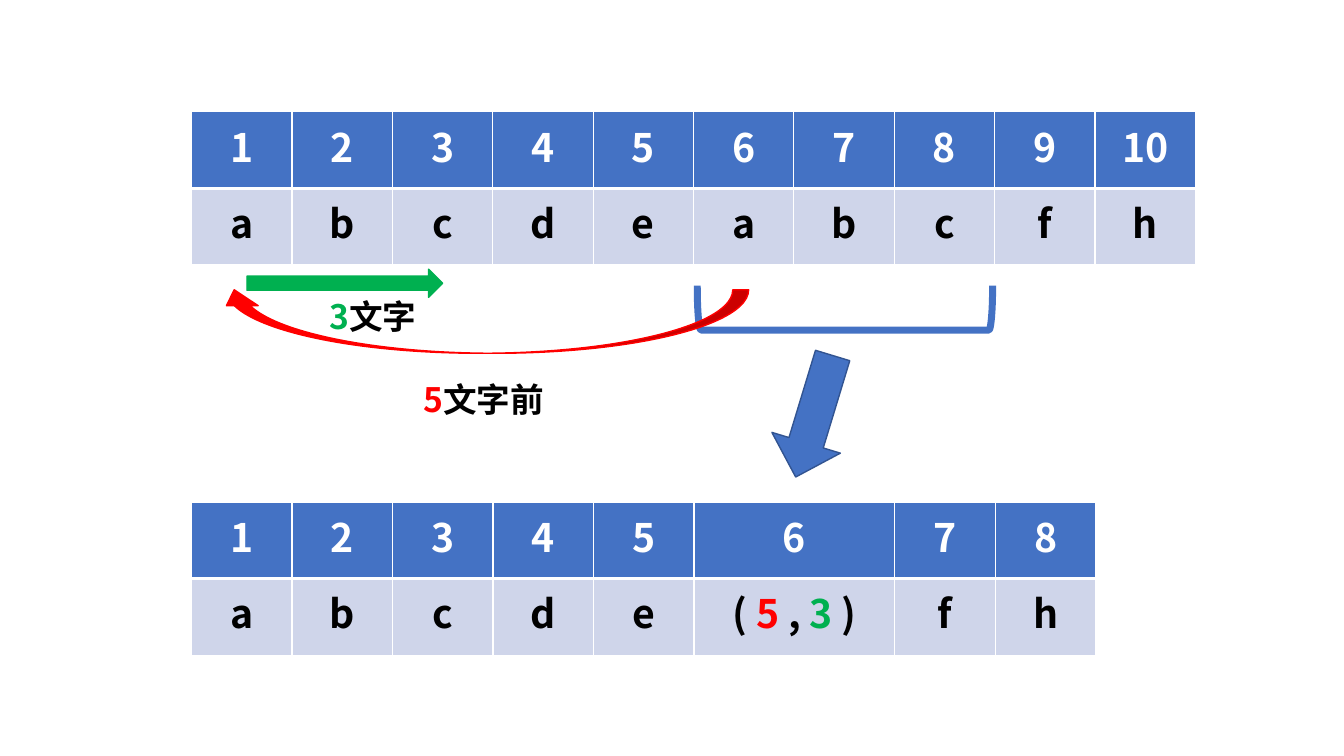
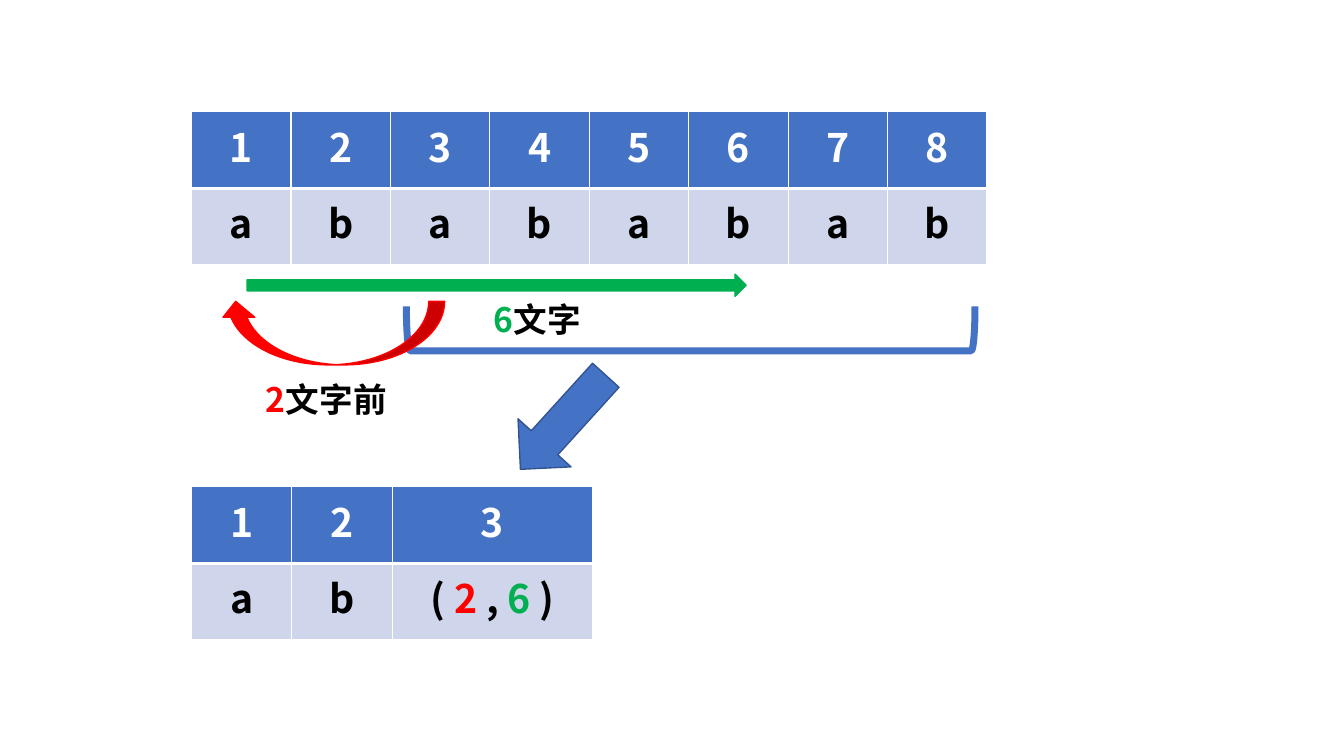
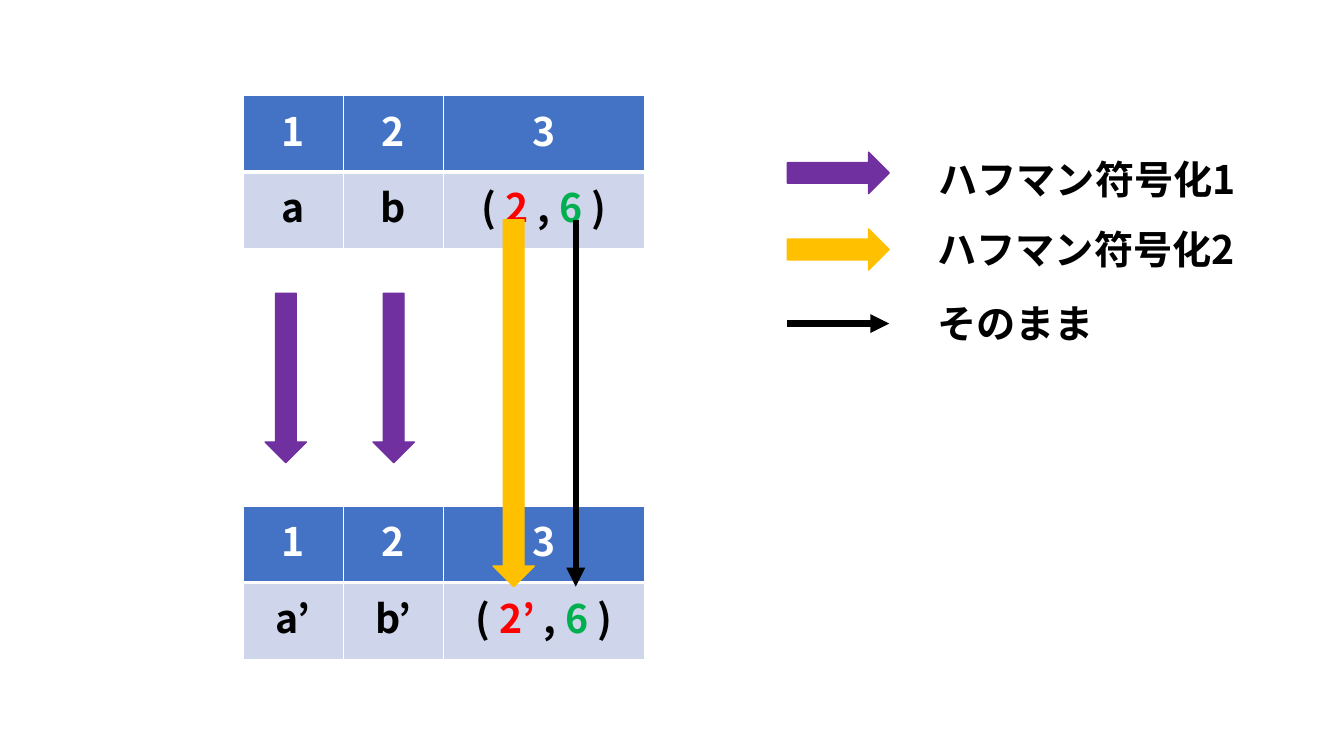
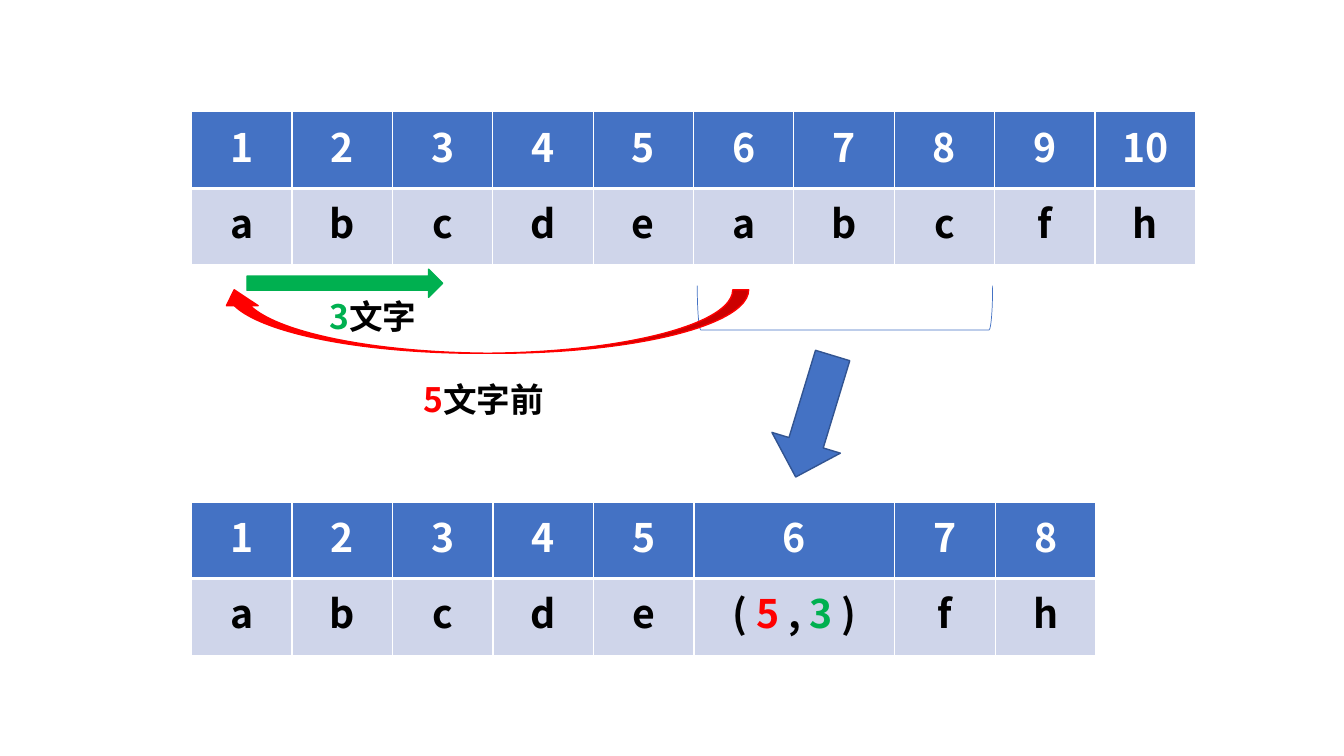
from lxml import etree
from pptx import Presentation
from pptx.dml.color import RGBColor
from pptx.enum.shapes import MSO_CONNECTOR, MSO_SHAPE
from pptx.enum.text import MSO_AUTO_SIZE, PP_ALIGN
from pptx.oxml.ns import qn
from pptx.util import Inches, Pt

DOWN = MSO_SHAPE.DOWN_ARROW
RIGHT = MSO_SHAPE.RIGHT_ARROW
CURVE = MSO_SHAPE.CURVED_LEFT_ARROW
BRACKET = MSO_SHAPE.RIGHT_BRACKET
LINE = MSO_CONNECTOR.STRAIGHT
CENTER = PP_ALIGN.CENTER
GROW = MSO_AUTO_SIZE.SHAPE_TO_FIT_TEXT

FONT = "Noto Sans CJK JP"
BLUE, EDGE, PALE = "4472C4", "325491", "CFD5EA"
RED, GREEN, PURPLE, GOLD = "FF0000", "00B050", "7030A0", "FFC000"
BLACK, WHITE = "000000", "FFFFFF"
ROW = 0.76
THIN, THICK = 1, 3

LONG = {
    "tables": [
        ((1.9, 1.11, 9.96), list("abcdeabcfh")),
        ((1.9, 4.98, 8.97), [*"abcde", ("5", "3"), *"fh"]),
    ],
    "bracket": (8.16, 1.59, 0.44, 2.93),
    "pointer": ((7.72, 3.5, 0.71, 1.26), 16.9),
    "back": (4.48, 0.56, 0.63, 5.26),
    "span": (2.45, 2.67, 1.94, 0.28),
    "labels": [
        ((4.1, 3.71), "5", RED, "文字前"),
        ((3.17, 2.89), "3", GREEN, "文字"),
    ],
}
SHORT = {
    "tables": [
        ((1.9, 1.11, 7.89), list("abababab")),
        ((1.9, 4.83, 3.98), ["a", "b", ("2", "6")]),
    ],
    "bracket": (6.63, 0.44, 0.44, 5.64),
    "pointer": ((5.23, 3.56, 0.71, 1.26), 42.2),
    "back": (2.98, 2.19, 0.63, 2.23),
    "span": (2.45, 2.72, 4.95, 0.22),
    "labels": [
        ((2.54, 3.71), "2", RED, "文字前"),
        ((4.8, 2.92), "6", GREEN, "文字"),
    ],
}
CODED = [
    ((2.41, 0.95, 3.98), ["a", "b", ("2", "6")]),
    ((2.41, 5.02, 3.98), ["a’", "b’", ("2’", "6")]),
]
DROPS = [
    ((2.63, 2.91, 0.41, 1.68), PURPLE, 0),
    ((3.7, 2.91, 0.41, 1.68), PURPLE, 0),
    ((4.89, 2.18, 0.41, 3.64), GOLD, 0),
    ((8.11, 1.21, 0.41, 1.01), PURPLE, 270),
    ((8.11, 1.97, 0.41, 1.01), GOLD, 270),
]
LINES = [(5.71, 2.18, 5.71, 5.82), (7.81, 3.21, 8.82, 3.21)]
LEGEND = [
    ((9.21, 1.49), "ハフマン符号化1"),
    ((9.2, 2.19), "ハフマン符号化2"),
    ((9.2, 2.92), "そのまま"),
]


def color(code):
    return RGBColor.from_string(code)


def lengths(nums):
    return [Inches(num) for num in nums]


def write(para, runs, size):
    look = {"name": FONT, "size": Pt(size), "bold": True}
    for text, code in runs:
        run = para.add_run()
        run.text = text
        for key, value in look.items():
            setattr(run.font, key, value)
        run.font.color.rgb = color(code)
        east = etree.SubElement(run.font._element, qn("a:ea"))
        east.set("typeface", FONT)


def label(slide, spot, runs, size, wide, high):
    box = slide.shapes.add_textbox(*lengths((*spot, wide, high)))
    frame = box.text_frame
    for key, value in {"word_wrap": True, "auto_size": GROW}.items():
        setattr(frame, key, value)
    write(frame.paragraphs[0], runs, size)


def fill_cell(cell, runs, back, edges):
    props = cell._tc.get_or_add_tcPr()
    for side, width in zip("LRTB", edges):
        line = etree.SubElement(props, qn("a:ln" + side), w=str(Pt(width)))
        paint = etree.SubElement(line, qn("a:solidFill"))
        etree.SubElement(paint, qn("a:srgbClr"), val=WHITE)
    cell.fill.solid()
    cell.fill.fore_color.rgb = color(back)
    para = cell.text_frame.paragraphs[0]
    para.alignment = CENTER
    write(para, runs, 28)


def body_runs(item):
    if isinstance(item, str):
        return [(item, BLACK)]
    back, count = item
    return [("( ", BLACK), (back, RED), (" , ", BLACK),
            (count, GREEN), (" )", BLACK)]


def grid(slide, place, items):
    left, top, wide = place
    spans = [1 if isinstance(item, str) else 2 for item in items]
    area = lengths((left, top, wide, 2 * ROW))
    table = slide.shapes.add_table(2, len(items), *area).table
    for row in table.rows:
        row.height = Inches(ROW)
    for col, (item, span) in enumerate(zip(items, spans)):
        table.columns[col].width = Inches(wide * span / sum(spans))
        fill_cell(table.cell(0, col), [(str(col + 1), WHITE)], BLUE,
                  (THIN, THIN, THIN, THICK))
        fill_cell(table.cell(1, col), body_runs(item), PALE,
                  (THIN, THIN, THICK, THIN))


def shape(slide, kind, place, fill, edge, width=1, turn=0):
    item = slide.shapes.add_shape(kind, *lengths(place))
    item.shadow.inherit = False
    item.rotation = turn
    if fill:
        item.fill.solid()
        item.fill.fore_color.rgb = color(fill)
    else:
        item.fill.background()
    item.line.color.rgb = color(edge)
    item.line.width = Pt(width)


def arrow(slide, ends):
    item = slide.shapes.add_connector(LINE, *lengths(ends))
    item.line.color.rgb = color(BLACK)
    item.line.width = Pt(4.5)
    etree.SubElement(item.line._get_or_add_ln(), qn("a:tailEnd"), type="triangle")
    etree.SubElement(item._element.spPr, qn("a:effectLst"))


def match_slide(slide, data, width):
    for place, items in data["tables"]:
        grid(slide, place, items)
    shape(slide, BRACKET, data["bracket"], None, BLUE, width, 90)
    place, turn = data["pointer"]
    shape(slide, DOWN, place, BLUE, EDGE, turn=turn)
    shape(slide, CURVE, data["back"], RED, RED, turn=90)
    shape(slide, RIGHT, data["span"], GREEN, GREEN)
    for spot, num, code, unit in data["labels"]:
        label(slide, spot, [(num, code), (unit, BLACK)], 24, 1.87, 0.5)


def code_slide(slide):
    for place, items in CODED:
        grid(slide, place, items)
    for place, code, turn in DROPS:
        shape(slide, DOWN, place, code, code, turn=turn)
    for ends in LINES:
        arrow(slide, ends)
    for spot, text in LEGEND:
        label(slide, spot, [(text, BLACK)], 28, 3.42, 0.57)


deck = Presentation()
deck.slide_width, deck.slide_height = lengths((13.33, 7.5))
blank = deck.slide_layouts[6]
match_slide(deck.slides.add_slide(blank), LONG, 5)
match_slide(deck.slides.add_slide(blank), SHORT, 5)
code_slide(deck.slides.add_slide(blank))
match_slide(deck.slides.add_slide(blank), LONG, 0.5)
deck.save("out.pptx")
